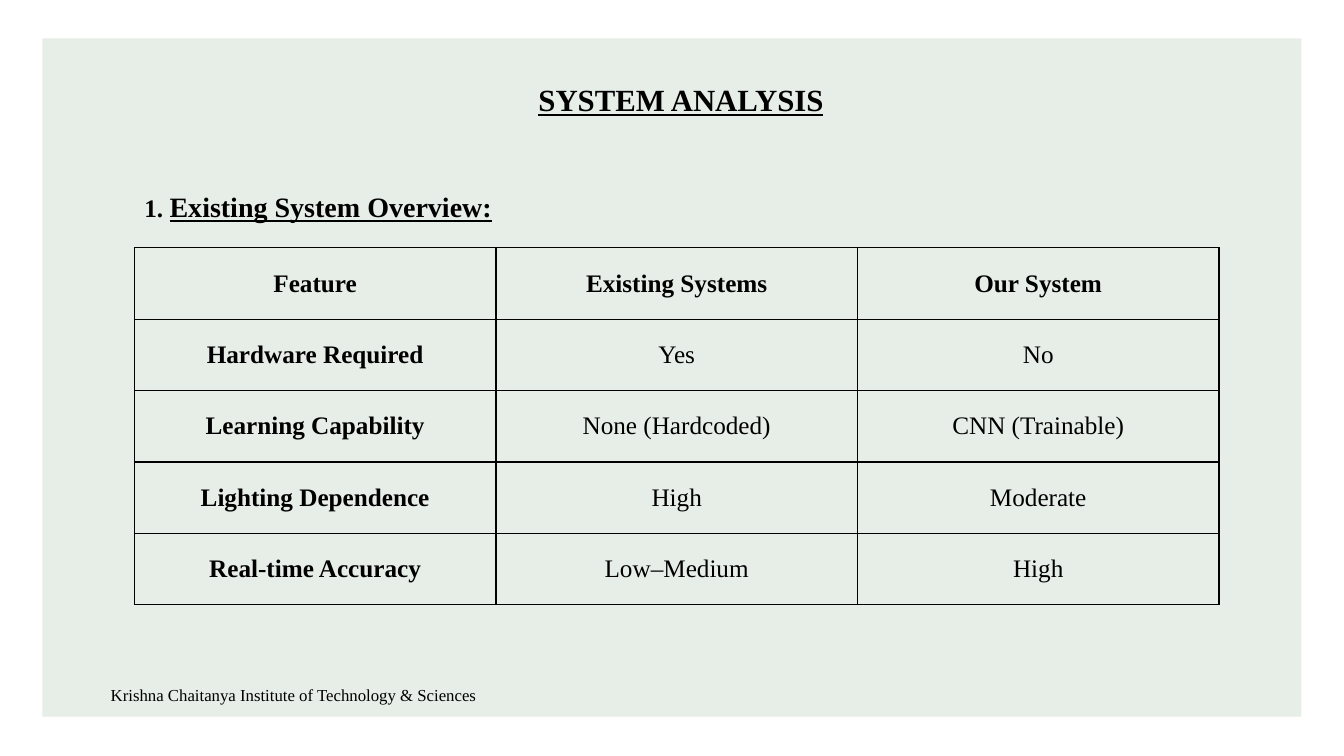
from lxml import etree
from pptx import Presentation
from pptx.dml import color
from pptx.enum import shapes, text
from pptx.oxml import ns
from pptx.util import Pt

FONT = "Times New Roman"
BLACK = "000000"
PANEL_GREEN = "E7EEE8"
ROWS = [
    ("Feature", "Existing Systems", "Our System"),
    ("Hardware Required", "Yes", "No"),
    ("Learning Capability", "None (Hardcoded)", "CNN (Trainable)"),
    ("Lighting Dependence", "High", "Moderate"),
    ("Real-time Accuracy", "Low–Medium", "High"),
]


def rgb(value):
    return color.RGBColor.from_string(value)


def style_font(font, size, bold=False, underline=False):
    font.name = FONT
    font.size = Pt(size)
    font.bold = bold
    font.underline = underline
    font.color.rgb = rgb(BLACK)


def add_panel(slide, left, top, width, height):
    panel = slide.shapes.add_shape(
        shapes.MSO_SHAPE.RECTANGLE, Pt(left), Pt(top), Pt(width), Pt(height))
    panel.shadow.inherit = False
    panel.fill.solid()
    panel.fill.fore_color.rgb = rgb(PANEL_GREEN)
    panel.line.fill.background()


def add_text(slide, left, top, width, height, anchor=text.MSO_ANCHOR.TOP):
    """Add a wrapping text box and return its first paragraph."""
    box = slide.shapes.add_textbox(Pt(left), Pt(top), Pt(width), Pt(height))
    box.text_frame.word_wrap = True
    box.text_frame.vertical_anchor = anchor
    return box.text_frame.paragraphs[0]


def add_borders(cell, width):
    properties = cell._tc.get_or_add_tcPr()
    for position, side in enumerate(("lnL", "lnR", "lnT", "lnB")):
        line = etree.Element(ns.qn(f"a:{side}"), w=str(Pt(width)))
        fill = etree.SubElement(line, ns.qn("a:solidFill"))
        etree.SubElement(fill, ns.qn("a:srgbClr"), val=BLACK)
        properties.insert(position, line)


def add_comparison(slide, left, top, column_width, row_height):
    columns = len(ROWS[0])
    table = slide.shapes.add_table(
        len(ROWS), columns, Pt(left), Pt(top),
        Pt(column_width * columns), Pt(row_height * len(ROWS))).table
    table.first_row = table.horz_banding = False
    for row_index, row in enumerate(ROWS):
        for column_index, wording in enumerate(row):
            cell = table.cell(row_index, column_index)
            cell.fill.background()
            cell.vertical_anchor = text.MSO_ANCHOR.MIDDLE
            add_borders(cell, 1)
            paragraph = cell.text_frame.paragraphs[0]
            paragraph.text = wording
            paragraph.alignment = text.PP_ALIGN.CENTER
            is_heading = row_index == 0 or column_index == 0
            style_font(paragraph.font, 18, bold=is_heading)


def main():
    presentation = Presentation()
    presentation.slide_width = Pt(960)
    presentation.slide_height = Pt(540)
    slide = presentation.slides.add_slide(presentation.slide_layouts[6])

    add_panel(slide, 30.25, 27.35, 899.3, 484.6)

    title = add_text(slide, 193, 54, 586.8, 34)
    title.text = "SYSTEM ANALYSIS"
    title.alignment = text.PP_ALIGN.CENTER
    style_font(title.font, 22, bold=True, underline=True)

    heading = add_text(slide, 96, 132, 480, 31.5)
    number = heading.add_run()
    number.text = "1. "
    style_font(number.font, 18, bold=True)
    overview = heading.add_run()
    overview.text = "Existing System Overview:"
    style_font(overview.font, 20, bold=True, underline=True)

    add_comparison(slide, 96, 177, 258.25, 51)

    footer = add_text(slide, 72, 482, 324, 28.75, text.MSO_ANCHOR.MIDDLE)
    footer.text = "Krishna Chaitanya Institute of Technology & Sciences"
    style_font(footer.font, 12)

    presentation.save("out.pptx")


if __name__ == "__main__":
    main()
